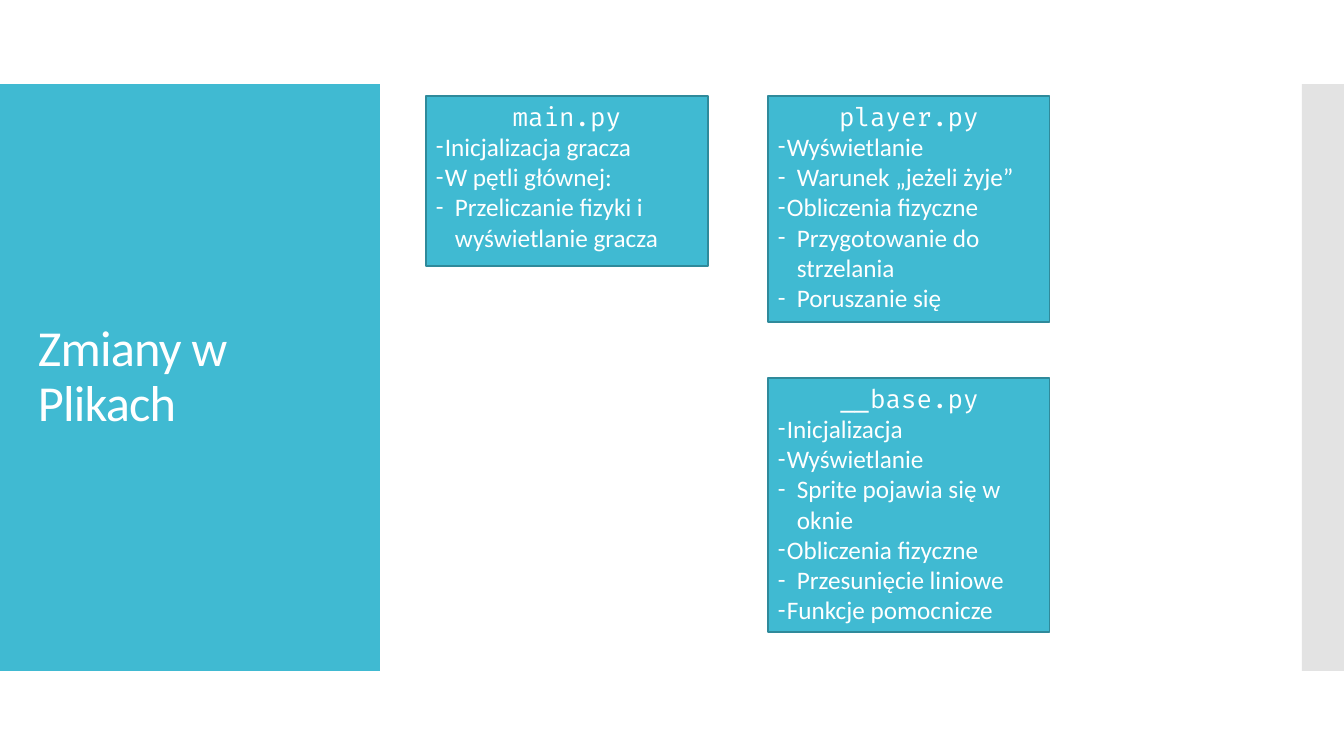
from pptx import Presentation
from pptx.dml.color import RGBColor
from pptx.enum.shapes import MSO_SHAPE
from pptx.enum.text import MSO_ANCHOR, PP_ALIGN
from pptx.oxml.ns import qn
from pptx.util import Pt
from lxml.etree import SubElement

PX = 914400 / 100.8
TEAL = RGBColor(0x40, 0xBA, 0xD2)
DARK_TEAL = RGBColor(0x2F, 0x8A, 0x9B)
GREY = RGBColor(0xC8, 0xC8, 0xC8)
WHITE = RGBColor(0xFF, 0xFF, 0xFF)
BODY_FONT = "Calibri"
CODE_FONT = "Fira Code"
BAND_TOP, BAND_HEIGHT = 84, 587
CARD_WIDTH = 282
HANGING = (9, 19)

CARDS = [
    (426, 96, 170, "main.py", [
        (0, "Inicjalizacja gracza"),
        (0, "W pętli głównej:"),
        (1, "Przeliczanie fizyki i wyświetlanie gracza"),
    ]),
    (768, 96, 226, "player.py", [
        (0, "Wyświetlanie"),
        (1, "Warunek „jeżeli żyje”"),
        (0, "Obliczenia fizyczne"),
        (1, "Przygotowanie do strzelania"),
        (1, "Poruszanie się"),
    ]),
    (768, 378, 254, "__base.py", [
        (0, "Inicjalizacja"),
        (0, "Wyświetlanie"),
        (1, "Sprite pojawia się w oknie"),
        (0, "Obliczenia fizyczne"),
        (1, "Przesunięcie liniowe"),
        (0, "Funkcje pomocnicze"),
    ]),
]


def emu(*pixels):
    return [round(value * PX) for value in pixels]


def write(p, text, size=18, font=BODY_FONT, color=WHITE, align=PP_ALIGN.LEFT,
          line_spacing=None, tracking=None, hanging=None):
    p.alignment = align
    if line_spacing:
        p.line_spacing = line_spacing
    if hanging:
        pPr = p._p.get_or_add_pPr()
        indent = emu(hanging)[0]
        pPr.set("marL", str(indent))
        pPr.set("indent", str(-indent))
        SubElement(pPr, qn("a:buFont")).set("typeface", font)
        SubElement(pPr, qn("a:buChar")).set("char", "-")
    r = p.add_run()
    r.text = text
    r.font.size = Pt(size)
    r.font.name = font
    r.font.color.rgb = color
    if tracking:
        r._r.get_or_add_rPr().set("spc", str(round(tracking * 100)))


class Deck:
    """Builds slide elements in one style from pixel measurements."""

    def __init__(self, width, height):
        self.prs = Presentation()
        self.prs.slide_width, self.prs.slide_height = emu(width, height)
        self.s = self.prs.slides.add_slide(self.prs.slide_layouts[6])

    def rect(self, x, y, w, h, fill=TEAL, line=None, opacity=None):
        sp = self.s.shapes.add_shape(MSO_SHAPE.RECTANGLE, *emu(x, y, w, h))
        sp.shadow.inherit = False
        sp.fill.solid()
        sp.fill.fore_color.rgb = fill
        if line:
            sp.line.color.rgb = line
            sp.line.width = Pt(0.85)
        else:
            sp.line.fill.background()
        if opacity:
            clr = sp._element.spPr.find(qn("a:solidFill"))[0]
            SubElement(clr, qn("a:alpha")).set("val", str(opacity * 1000))
        return sp

    def title(self, x, y, w, h, text):
        tf = self.s.shapes.add_textbox(*emu(x, y, w, h)).text_frame
        tf.word_wrap = True
        tf.vertical_anchor = MSO_ANCHOR.MIDDLE
        write(tf.paragraphs[0], text, size=36, line_spacing=0.9, tracking=-0.6)

    def card(self, x, y, h, heading, items):
        tf = self.rect(x, y, CARD_WIDTH, h, line=DARK_TEAL).text_frame
        tf.word_wrap = True
        tf.vertical_anchor = MSO_ANCHOR.TOP
        write(tf.paragraphs[0], heading, font=CODE_FONT, align=PP_ALIGN.CENTER)
        for level, text in items:
            write(tf.add_paragraph(), text, hanging=HANGING[level])


deck = Deck(1344, 756)
deck.rect(0, BAND_TOP, 380, BAND_HEIGHT)
deck.rect(1302, BAND_TOP, 42, BAND_HEIGHT, fill=GREY, opacity=50)
deck.title(28, 124, 325, 507, "Zmiany w Plikach")
for card in CARDS:
    deck.card(*card)
deck.prs.save("out.pptx")
